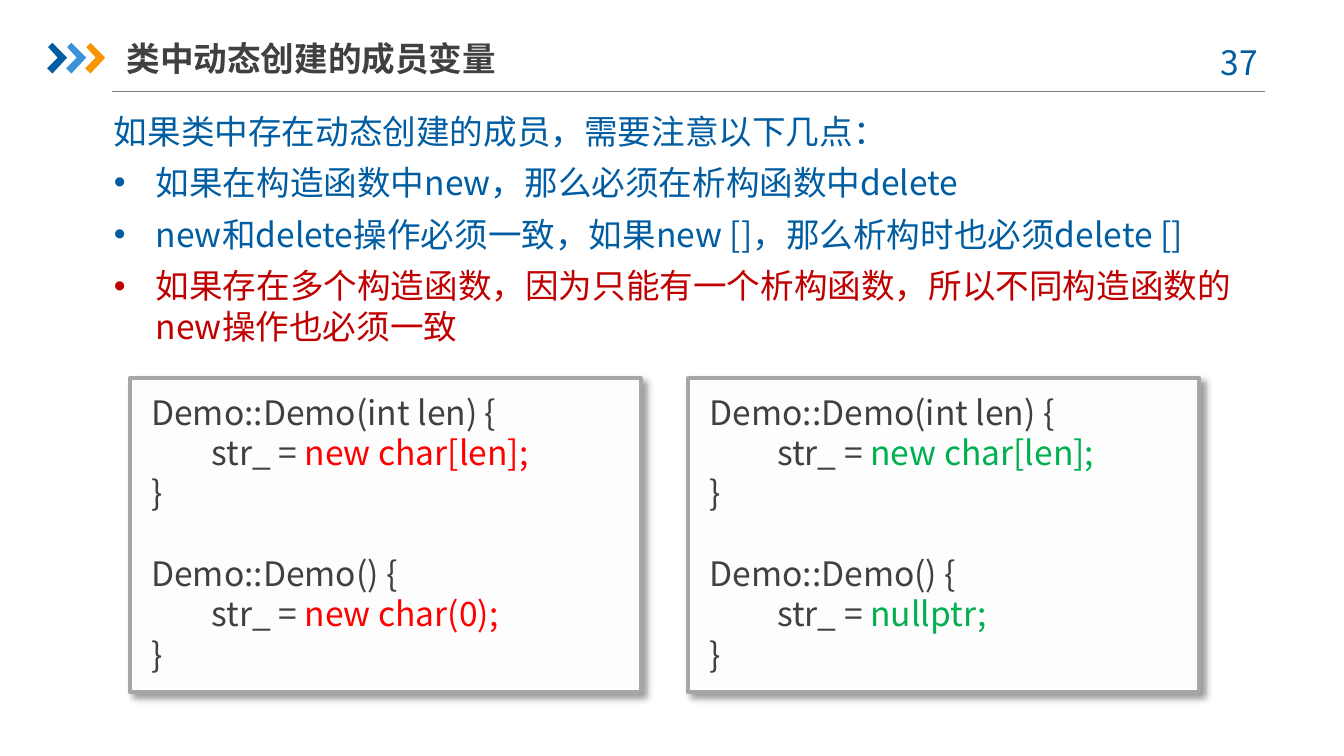
import pptx
import pptx.dml.color
import pptx.enum.shapes
import pptx.enum.text
import pptx.oxml
import pptx.oxml.ns
import pptx.util
from lxml import etree
from pptx.util import Cm, Pt

FONT = "Noto Sans CJK SC"
COLORS = {
    "blue": "005DA2", "sky": "3992DB", "orange": "F79600", "ink": "404040",
    "crimson": "C00000", "red": "FF0000", "green": "00B050",
    "rule": "808080", "border": "A6A6A6", "panel": "FDFDFD",
}
CHEVRON = [(2, 8), (10, 0), (38, 28), (10, 58), (0, 48), (20, 28)]
TITLE = "类中动态创建的成员变量"
POINTS = [
    ("如果类中存在动态创建的成员，需要注意以下几点：", "blue", False),
    ("如果在构造函数中new，那么必须在析构函数中delete", "blue", True),
    ("new和delete操作必须一致，如果new []，那么析构时也必须delete []", "blue", True),
    ("如果存在多个构造函数，因为只能有一个析构函数，所以不同构造函数的new操作也必须一致",
     "crimson", True),
]
MISMATCHED = ("        str_ = ", ["new char[len];", "new char(0);"], "red")
MATCHED = ("         str_ = ", ["new char[len];", "nullptr;"], "green")


def rgb(name):
    return pptx.dml.color.RGBColor.from_string(COLORS[name])


def sub(parent, tag, **attrs):
    return etree.SubElement(parent, pptx.oxml.ns.qn(tag), attrs)


def set_font(p, color, bold=False):
    """Give a paragraph the slide's font for Latin and East Asian text."""
    f = p.font
    f.size, f.bold, f.name = Pt(18), bold, FONT
    f.color.rgb = rgb(color)
    sub(p._p.pPr.find(pptx.oxml.ns.qn("a:defRPr")), "a:ea", typeface=FONT)


def place(sp, x, y, w, h):
    sp.left, sp.top, sp.width, sp.height = Cm(x), Cm(y), Cm(w), Cm(h)


def add_rect(shapes, x, y, w, h):
    sp = shapes.add_shape(pptx.enum.shapes.MSO_SHAPE.RECTANGLE,
                          Cm(x), Cm(y), Cm(w), Cm(h))
    sp.shadow.inherit = False
    sp.fill.solid()
    sp.fill.fore_color.rgb = rgb("panel")
    sp.line.fill.background()
    return sp


def add_header(s, x, y, w, number):
    """Chevrons, title, page number and the rule below them."""
    for i, color in enumerate(["blue", "sky", "orange"]):
        fb = s.shapes.build_freeform(*CHEVRON[0], scale=Cm(0.01))
        fb.add_line_segments(CHEVRON[1:])
        sp = fb.convert_to_shape(Cm(x + 0.36 * i), Cm(y + 0.25))
        sp.shadow.inherit = False
        sp.fill.solid()
        sp.fill.fore_color.rgb = rgb(color)
        sp.line.fill.background()

    line = s.shapes.add_connector(pptx.enum.shapes.MSO_CONNECTOR.STRAIGHT,
                                  Cm(x + 1.22), Cm(y + 1.17), Cm(x + w), Cm(y + 1.17))
    line.line.color.rgb = rgb("rule")
    line.line.width = Pt(0.75)
    sub(line._element.spPr, "a:effectLst")

    title = s.shapes.title
    place(title, x + 1.5, y, 7.52, 1.07)
    tf = title.text_frame
    tf.text = TITLE
    tf.auto_size = pptx.enum.text.MSO_AUTO_SIZE.NONE
    tf.vertical_anchor = pptx.enum.text.MSO_ANCHOR.MIDDLE
    tf.margin_left = tf.margin_right = 0
    tf.paragraphs[0].alignment = pptx.enum.text.PP_ALIGN.LEFT
    set_font(tf.paragraphs[0], "ink", bold=True)

    tf = s.shapes.add_textbox(Cm(x + w - 1.4), Cm(y + 0.1), Cm(1.85), Cm(1.02)).text_frame
    tf.word_wrap = True
    tf.text = number
    tf.paragraphs[0].alignment = pptx.enum.text.PP_ALIGN.CENTER
    set_font(tf.paragraphs[0], "blue")


def fill_points(body, x, y, w, h):
    place(body, x, y, w, h)
    tf = body.text_frame
    tf.auto_size = pptx.enum.text.MSO_AUTO_SIZE.NONE
    for i, (text, color, bulleted) in enumerate(POINTS):
        p = tf.paragraphs[0] if i == 0 else tf.add_paragraph()
        p.add_run().text = text
        p.space_before, p.space_after = Pt(0), Pt(6)
        pPr = p._p.get_or_add_pPr()
        indent = Cm(0.79) if bulleted else 0
        pPr.set("marL", str(indent))
        pPr.set("indent", str(-indent))
        if bulleted:
            sub(pPr, "a:buFont", typeface="Arial")
            sub(pPr, "a:buChar", char="•")
        else:
            sub(pPr, "a:buNone")
        set_font(p, color)


def add_code_panel(s, x, y, w, h, code):
    """A shadowed frame with two constructors, the assigned values coloured."""
    assign, values, color = code
    shapes = s.shapes.add_group_shape().shapes
    frame = add_rect(shapes, x, y, w, h)
    frame.line.color.rgb = rgb("border")
    frame.line.width = Pt(2)
    effects = frame._element.spPr.find(pptx.oxml.ns.qn("a:effectLst"))
    shadow = sub(effects, "a:outerShdw", blurRad=str(Pt(4)), dist=str(Pt(3)),
                 dir="2700000", algn="tl", rotWithShape="0")
    sub(sub(shadow, "a:srgbClr", val="000000"), "a:alpha", val="40000")

    tf = add_rect(shapes, x + 0.15, y + 0.13, w - 0.3, h - 0.3).text_frame
    tf.word_wrap = True
    tf.vertical_anchor = pptx.enum.text.MSO_ANCHOR.TOP
    lines = []
    for args, value in zip(["int len", ""], values):
        lines += [(f"Demo::Demo({args}) {{", ""), (assign, value), ("}", "")]
    for i, (text, value) in enumerate(lines):
        p = tf.paragraphs[0] if i == 0 else tf.add_paragraph()
        p.alignment = pptx.enum.text.PP_ALIGN.LEFT
        if i == 3:
            p.space_before = Pt(21.7)
        p.add_run().text = text
        if value:
            r = p.add_run()
            r.text = value
            r.font.color.rgb = rgb(color)
        set_font(p, "ink")


def main():
    prs = pptx.Presentation()
    prs.slide_width, prs.slide_height = Cm(25.4), Cm(14.28)
    s = prs.slides.add_slide(prs.slide_layouts[1])
    add_header(s, 0.89, 0.56, 23.01, "37")
    fill_points(s.placeholders[1], 1.9, 1.96, 22.4, 4.75)
    for i, code in enumerate([MISMATCHED, MATCHED]):
        add_code_panel(s, 2.46 + 10.55 * i, 7.14, 9.65, 5.94, code)
    prs.save("out.pptx")


if __name__ == "__main__":
    main()
